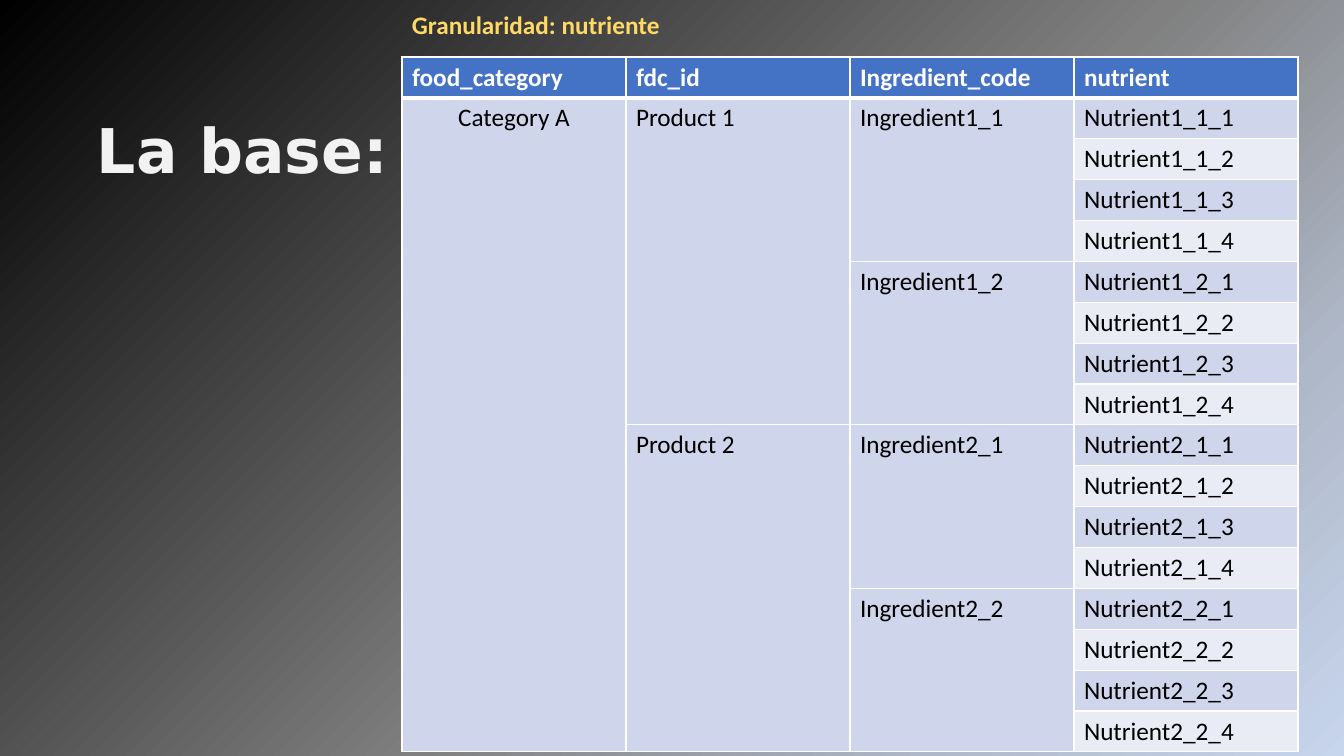
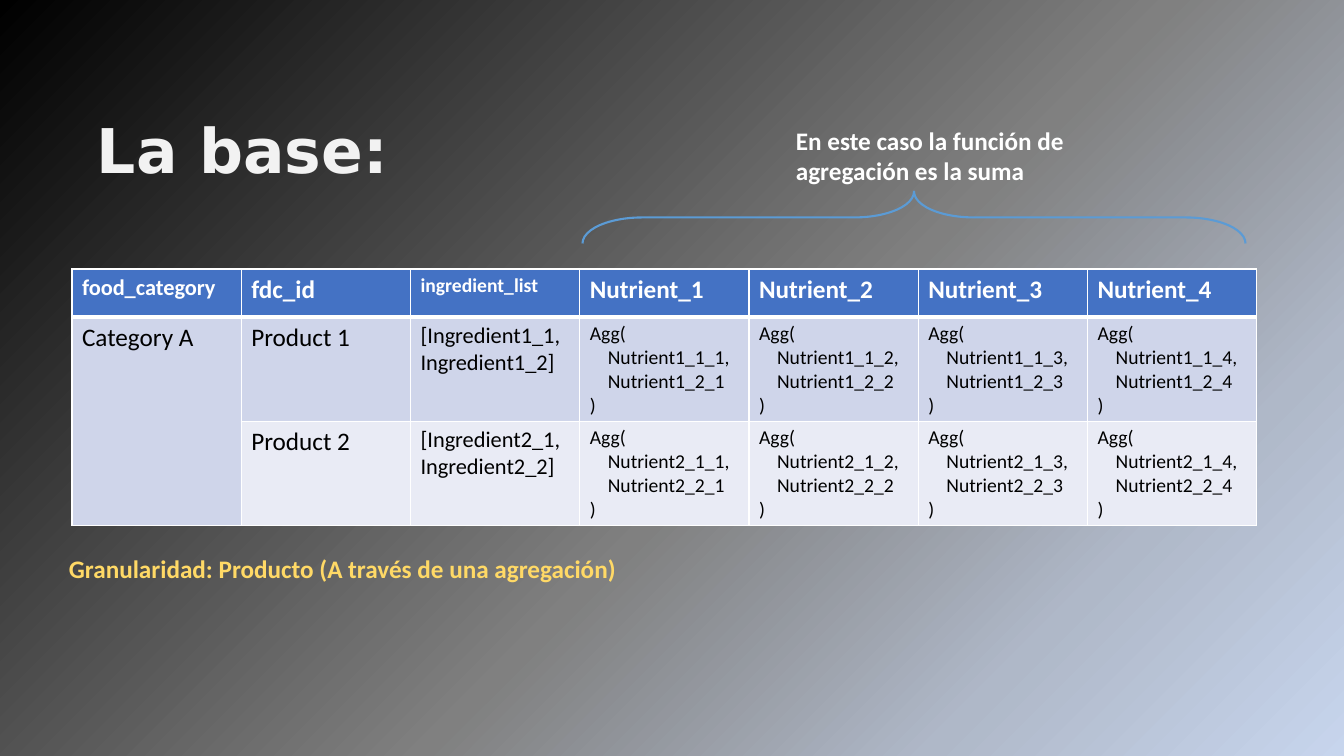
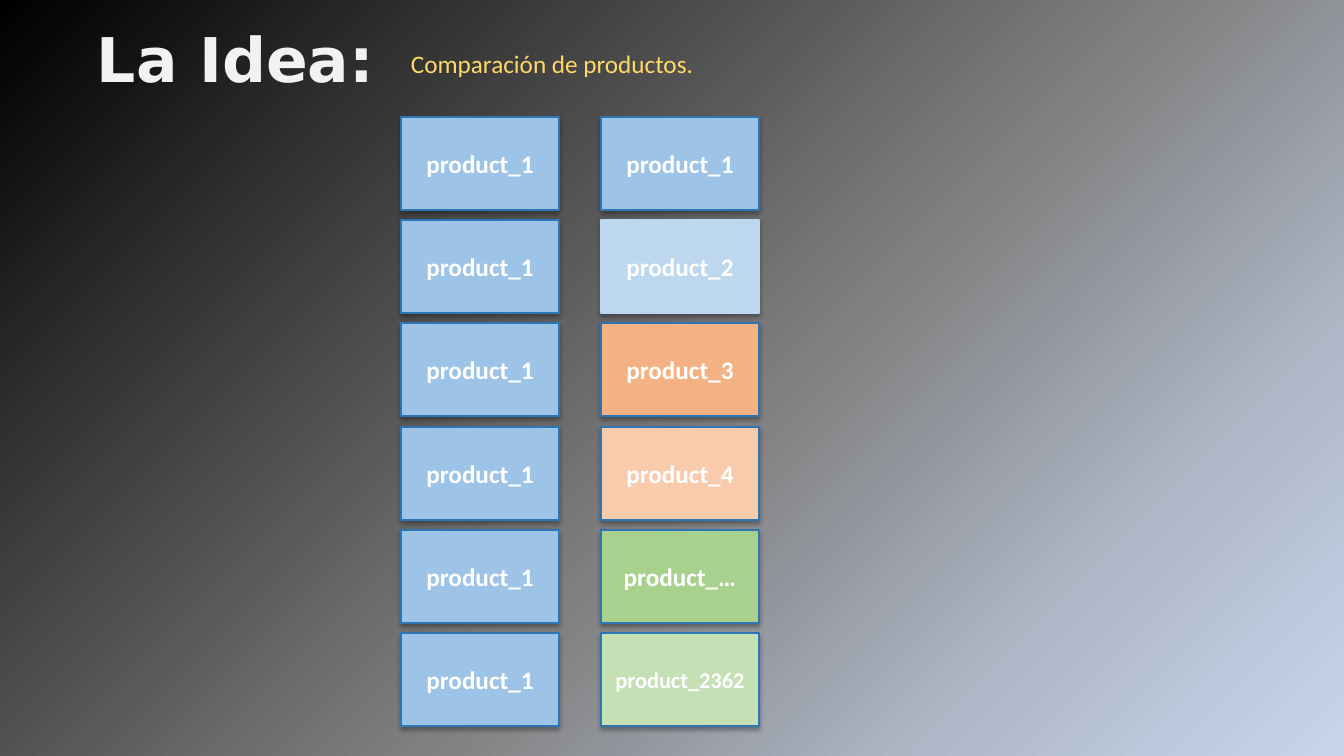
from itertools import product

from lxml.etree import SubElement
from pptx import Presentation
from pptx.dml.color import RGBColor
from pptx.enum.shapes import MSO_SHAPE as Preset
from pptx.enum.text import MSO_ANCHOR as Anchor, MSO_AUTO_SIZE as AutoSize, PP_ALIGN as Align
from pptx.oxml.ns import qn
from pptx.util import Pt

WIDTH, HEIGHT = 1344, 756
SCALE = 12192000 / WIDTH
COLOURS = {
    "title": "F2F2F2",
    "label": "FFD966",
    "white": "FFFFFF",
    "black": "000000",
    "header": "4472C4",
    "odd": "CFD5EA",
    "even": "E9EBF5",
    "brace": "5B9BD5",
    "outline": "2E75B6",
    "blue": "9DC3E6",
    "pale_blue": "BDD7EE",
    "orange": "F4B183",
    "pale_orange": "F8CBAD",
    "green": "A9D18E",
    "pale_green": "C5E0B4",
}
BACKDROP = [(0, "000000"), (56, "808080"), (80, "AFB8C8"), (100, "C7D5ED")]
BODY_FONT = "Calibri"
TITLE_FONT = "DejaVu Sans"
CODE_INDENT = 18


def px(length):
    return round(length * SCALE)


def rgb(name):
    return RGBColor.from_string(COLOURS[name])


def add_child(parent, tag, **attributes):
    return SubElement(parent, qn(tag), {key: str(value) for key, value in attributes.items()})


def paint_backdrop(master):
    fill = master.background.fill
    fill.gradient()
    fill.gradient_angle = 315
    stops = next(master.element.iter(qn("a:gsLst")))
    for stop in list(stops):
        stops.remove(stop)
    for percent, colour in BACKDROP:
        stop = add_child(stops, "a:gs", pos=percent * 1000)
        add_child(stop, "a:srgbClr", val=colour)


def add_run(para, text, size, colour, bold=False, font=BODY_FONT):
    span = para.add_run()
    span.text = text
    span.font.name = font
    span.font.size = Pt(size)
    span.font.bold = bold
    span.font.color.rgb = rgb(colour)


def add_text(page, bounds, text, colour, size=18, bold=True, font=BODY_FONT):
    box = page.shapes.add_textbox(*map(px, bounds))
    frame = box.text_frame
    frame.word_wrap = True
    frame.auto_size = AutoSize.SHAPE_TO_FIT_TEXT
    add_run(frame.paragraphs[0], text, size, colour, bold, font)


def add_title(page, top, text):
    add_text(page, (87, top, 586, 85), text, "title", 44, font=TITLE_FONT)


def draw_borders(cell, row):
    properties = cell._tc.get_or_add_tcPr()
    widths = {"L": 1, "R": 1, "T": 3 if row == 1 else 1, "B": 3 if row == 0 else 1}
    for side, width in widths.items():
        line = add_child(properties, f"a:ln{side}", w=Pt(width))
        fill = add_child(line, "a:solidFill")
        add_child(fill, "a:srgbClr", val=COLOURS["white"])


def add_grid(page, bounds, rows, columns):
    table = page.shapes.add_table(rows, columns, *map(px, bounds)).table
    for row, column in product(range(rows), range(columns)):
        cell = table.cell(row, column)
        draw_borders(cell, row)
        cell.fill.solid()
        band = "header" if row == 0 else "odd" if row % 2 else "even"
        cell.fill.fore_color.rgb = rgb(band)
    return table


def write_cell(table, row, column, lines, size=18, align=Align.LEFT, indented=()):
    frame = table.cell(row, column).text_frame
    header = row == 0
    for index, line in enumerate(lines):
        para = frame.add_paragraph() if index else frame.paragraphs[0]
        para.alignment = align
        if index in indented:
            para._p.get_or_add_pPr().set("marL", str(px(CODE_INDENT)))
        add_run(para, line, size, "white" if header else "black", header)


def write_headers(table, headers):
    for column, (text, size) in enumerate(headers):
        write_cell(table, 0, column, [text], size)


def merge_down(table, row, column, count):
    table.cell(row, column).merge(table.cell(row + count - 1, column))


def add_brace(page, bounds):
    brace = page.shapes.add_shape(Preset.LEFT_BRACE, *map(px, bounds))
    brace.rotation = 90
    brace.adjustments[0] = 1.15
    brace.adjustments[1] = 0.5
    brace.shadow.inherit = False
    brace.fill.background()
    brace.line.color.rgb = rgb("brace")
    brace.line.width = Pt(1.5)


def add_tile(page, column, row, text, fill, outline="outline", size=18):
    left, top = 401 + 200 * column, 117 + round(row * 516 / 5)
    tile = page.shapes.add_shape(Preset.RECTANGLE, *map(px, (left, top, 158, 93)))
    tile.fill.solid()
    tile.fill.fore_color.rgb = rgb(fill)
    tile.line.color.rgb = rgb(outline)
    tile.line.width = Pt(1)
    tile.shadow.inherit = False
    effects = tile._element.spPr.find(qn("a:effectLst"))
    shadow = add_child(effects, "a:outerShdw", blurRad=Pt(3.5), dist=Pt(2.2),
                       dir=5400000, rotWithShape=0)
    tint = add_child(shadow, "a:srgbClr", val=COLOURS["black"])
    add_child(tint, "a:alpha", val=32000)
    frame = tile.text_frame
    frame.word_wrap = True
    frame.vertical_anchor = Anchor.MIDDLE
    para = frame.paragraphs[0]
    para.alignment = Align.CENTER
    add_run(para, text, size, "white", True)


def build_nutrient_page(page):
    add_title(page, 107, "La base:")
    table = add_grid(page, (402, 57, 896, 695), 17, 4)
    headers = ["food_category", "fdc_id", "Ingredient_code", "nutrient"]
    write_headers(table, [(header, 18) for header in headers])
    merge_down(table, 1, 0, 16)
    write_cell(table, 1, 0, ["Category A"], align=Align.CENTER)
    for item in (1, 2):
        item_row = 8 * item - 7
        merge_down(table, item_row, 1, 8)
        write_cell(table, item_row, 1, [f"Product {item}"])
        for part in (1, 2):
            part_row = item_row + 4 * (part - 1)
            merge_down(table, part_row, 2, 4)
            write_cell(table, part_row, 2, [f"Ingredient{item}_{part}"])
            for nutrient in range(1, 5):
                write_cell(table, part_row + nutrient - 1, 3,
                           [f"Nutrient{item}_{part}_{nutrient}"])
    add_text(page, (402, 4, 317, 40), "Granularidad: nutriente", "label")


def build_product_page(page):
    add_title(page, 107, "La base:")
    table = add_grid(page, (72, 269, 1185, 256), 3, 7)
    for row, height in zip(table.rows, (48, 104, 104)):
        row.height = px(height)
    nutrients = range(1, 5)
    write_headers(table, [("food_category", 16), ("fdc_id", 18), ("ingredient_list", 14)]
                  + [(f"Nutrient_{nutrient}", 18) for nutrient in nutrients])
    merge_down(table, 1, 0, 2)
    write_cell(table, 1, 0, ["Category A"])
    for item in (1, 2):
        write_cell(table, item, 1, [f"Product {item}"])
        write_cell(table, item, 2, [f"[Ingredient{item}_1,", f"Ingredient{item}_2]"], 16)
        for nutrient in nutrients:
            lines = ["Agg(", f"Nutrient{item}_1_{nutrient},", f"Nutrient{item}_2_{nutrient}", ")"]
            write_cell(table, item, 2 + nutrient, lines, 14, indented=(1, 2))
    add_brace(page, (888, -114, 52, 663))
    add_text(page, (786, 120, 292, 72), "En este caso la función de agregación es la suma", "white")
    add_text(page, (59, 548, 672, 40), "Granularidad: Producto (A través de una agregación)", "label")


def build_comparison_page(page):
    add_title(page, 16, "La Idea:")
    add_text(page, (401, 43, 866, 40), "Comparación de productos.", "label", bold=False)
    compared = [
        ("product_1", "blue"),
        ("product_2", "pale_blue", "pale_blue"),
        ("product_3", "orange"),
        ("product_4", "pale_orange"),
        ("product_…", "green"),
        ("product_2362", "pale_green", "outline", 16),
    ]
    for row, tile in enumerate(compared):
        add_tile(page, 0, row, "product_1", "blue")
        add_tile(page, 1, row, *tile)


def main():
    deck = Presentation()
    deck.slide_width, deck.slide_height = px(WIDTH), px(HEIGHT)
    paint_backdrop(deck.slide_master)
    for build in (build_nutrient_page, build_product_page, build_comparison_page):
        build(deck.slides.add_slide(deck.slide_layouts[6]))
    deck.save("out.pptx")


if __name__ == "__main__":
    main()
